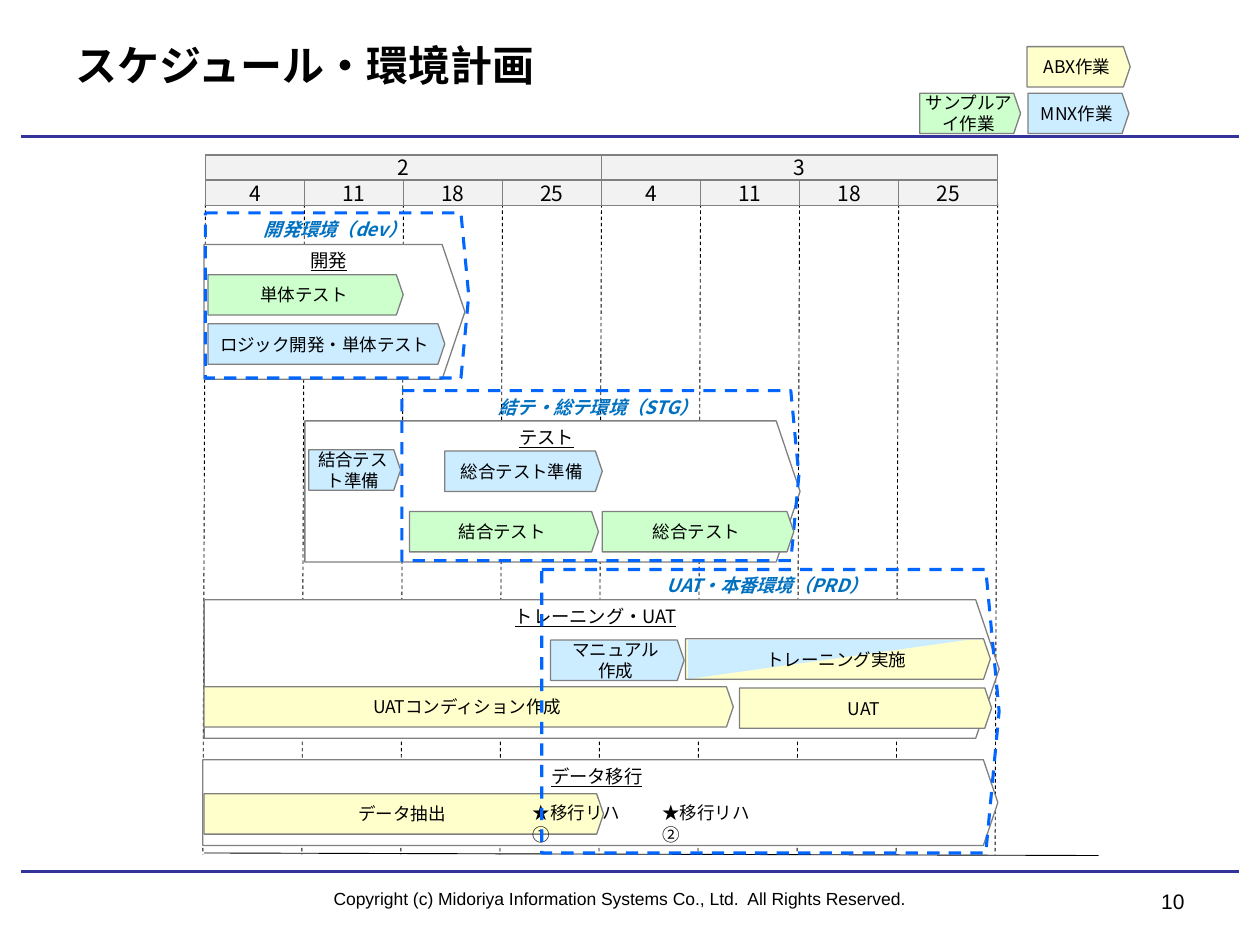
from dataclasses import dataclass
from typing import Optional

from lxml.etree import SubElement
from pptx import Presentation
from pptx.dml.color import RGBColor
from pptx.enum.dml import MSO_LINE
from pptx.enum.shapes import MSO_CONNECTOR, MSO_SHAPE
from pptx.enum.text import MSO_ANCHOR, PP_ALIGN
from pptx.oxml.ns import qn
from pptx.util import Inches, Pt

BLACK = RGBColor(0x00, 0x00, 0x00)
WHITE = RGBColor(0xFF, 0xFF, 0xFF)
GRAY = RGBColor(0x80, 0x80, 0x80)
HEADER_GRAY = RGBColor(0xF2, 0xF2, 0xF2)
NAVY = RGBColor(0x33, 0x33, 0x99)
YELLOW = RGBColor(0xFF, 0xFF, 0xCC)
SKY = RGBColor(0xCC, 0xEC, 0xFF)
GREEN = RGBColor(0xCC, 0xFF, 0xCC)
ENV_LINE = RGBColor(0x00, 0x66, 0xFF)
ENV_TEXT = RGBColor(0x00, 0x70, 0xC0)

GOTHIC = "Noto Sans CJK JP"
GRID_LEFT, WEEK, MONTH_TOP, ROW_H = 1.63, 0.786, 1.23, 0.2
TASK_H = 0.32


@dataclass(frozen=True)
class Style:
    fill: Optional[RGBColor] = None
    line: Optional[RGBColor] = GRAY
    line_pt: float = 0.75
    dashed: bool = False
    size: float = 10
    color: RGBColor = BLACK
    bold: bool = False
    italic: bool = False
    underline: bool = False
    anchor: MSO_ANCHOR = MSO_ANCHOR.MIDDLE
    point: float = 0.169
    wrap: bool = True


@dataclass(frozen=True)
class Bar:
    text: str
    left: float
    top: float
    width: float
    style: Style
    height: float = TASK_H


HEADER = Style(HEADER_GRAY, size=12, wrap=False)
YELLOW_TASK, SKY_TASK, GREEN_TASK = Style(YELLOW), Style(SKY), Style(GREEN)
OUTLINE = Style()
PANEL = Style(WHITE, size=10.5, underline=True, anchor=MSO_ANCHOR.TOP)
ENV = Style(line=ENV_LINE, line_pt=1.75, dashed=True, size=10.5, color=ENV_TEXT,
            bold=True, italic=True, anchor=MSO_ANCHOR.TOP, point=0.047)

LEGEND = [
    Bar("ABX作業", 8.15, 0.37, 0.82, YELLOW_TASK),
    Bar("MNX作業", 8.16, 0.74, 0.8, SKY_TASK),
    Bar("サンプルアイ作業", 7.3, 0.74, 0.8, GREEN_TASK),
]
PHASES = [
    Bar("データ移行", 1.61, 6.03, 6.31, PANEL, 0.68),
    Bar("トレーニング・UAT", 1.62, 4.76, 6.31, PANEL, 1.1),
    Bar("テスト", 2.42, 3.34, 3.93, PANEL, 1.12),
    Bar("開発", 1.62, 1.94, 2.07, PANEL, 1.07),
]
TEST_ENVS = [
    Bar("開発環境（dev）", 1.63, 1.69, 2.09, ENV, 1.31),
    Bar("結テ・総テ環境（STG）", 3.19, 3.1, 3.15, ENV, 1.35),
]
TASKS = [
    Bar("データ抽出", 1.62, 6.3, 3.17, YELLOW_TASK),
    Bar("マニュアル\n作成", 4.37, 5.08, 1.06, SKY_TASK),
    Bar("単体テスト", 1.65, 2.18, 1.55, GREEN_TASK),
    Bar("ロジック開発・単体テスト", 1.65, 2.57, 1.88, SKY_TASK),
    Bar("結合テスト準備", 2.45, 3.57, 0.73, SKY_TASK),
    Bar("結合テスト", 3.25, 4.06, 1.5, GREEN_TASK),
    Bar("総合テスト", 4.78, 4.06, 1.52, GREEN_TASK),
    Bar("総合テスト準備", 3.53, 3.58, 1.25, SKY_TASK),
    Bar("UAT", 5.87, 5.46, 2, YELLOW_TASK),
    Bar("UATコンディション作成", 1.62, 5.45, 4.2, YELLOW_TASK),
]
PRODUCTION_ENV = Bar("UAT・本番環境（PRD）", 4.3, 4.52, 3.63, ENV, 2.25)


def write(tf, text: str, font: str, style: Style, align: PP_ALIGN) -> None:
    for i, line in enumerate(text.split("\n")):
        p = tf.add_paragraph() if i else tf.paragraphs[0]
        p.alignment = align
        r = p.add_run()
        r.text = line
        r.font.name = font
        r.font.size = Pt(style.size)
        r.font.color.rgb = style.color
        r.font.bold = style.bold
        r.font.italic = style.italic
        r.font.underline = style.underline
        SubElement(r.font._element, qn("a:ea")).set("typeface", font)


def add_bar(shapes, bar: Bar, kind: MSO_SHAPE = MSO_SHAPE.PENTAGON):
    style = bar.style
    sp = shapes.add_shape(kind, Inches(bar.left), Inches(bar.top),
                          Inches(bar.width), Inches(bar.height))
    sp.shadow.inherit = False
    if kind == MSO_SHAPE.PENTAGON:
        sp.adjustments[0] = style.point
    if style.fill is None:
        sp.fill.background()
    else:
        sp.fill.solid()
        sp.fill.fore_color.rgb = style.fill
    if style.line is None:
        sp.line.fill.background()
    else:
        sp.line.color.rgb = style.line
        sp.line.width = Pt(style.line_pt)
    if style.dashed:
        sp.line.dash_style = MSO_LINE.DASH
    if bar.text:
        tf = sp.text_frame
        tf.margin_left = tf.margin_right = tf.margin_top = tf.margin_bottom = Inches(0.04)
        tf.word_wrap = style.wrap
        tf.vertical_anchor = style.anchor
        write(tf, bar.text, GOTHIC, style, PP_ALIGN.CENTER)
    return sp


def add_line(shapes, x1: float, y1: float, x2: float, y2: float,
             color: RGBColor = BLACK, width: float = 0.5, dashed: bool = False) -> None:
    line = shapes.add_connector(MSO_CONNECTOR.STRAIGHT, Inches(x1), Inches(y1),
                                Inches(x2), Inches(y2))
    line.line.color.rgb = color
    line.line.width = Pt(width)
    if dashed:
        line.line.dash_style = MSO_LINE.DASH
    SubElement(line._element.spPr, qn("a:effectLst"))


def add_text(shapes, text: str, left: float, top: float, width: float, height: float,
             style: Style, align: PP_ALIGN = PP_ALIGN.LEFT) -> None:
    tf = shapes.add_textbox(Inches(left), Inches(top), Inches(width), Inches(height)).text_frame
    tf.word_wrap = True
    tf.vertical_anchor = style.anchor
    write(tf, text, "Arial", style, align)


def add_calendar(shapes) -> None:
    for i in range(9):
        x = GRID_LEFT + i * WEEK
        add_line(shapes, x, 1.62, x - 0.02, 6.78, dashed=True)
    for i, month in enumerate(("2", "3")):
        add_bar(shapes, Bar(month, GRID_LEFT + i * 4 * WEEK, MONTH_TOP, 4 * WEEK, HEADER, ROW_H),
                MSO_SHAPE.RECTANGLE)
    for i, day in enumerate(("4", "11", "18", "25") * 2):
        add_bar(shapes, Bar(day, GRID_LEFT + i * WEEK, MONTH_TOP + ROW_H, WEEK, HEADER, ROW_H),
                MSO_SHAPE.RECTANGLE)
    add_line(shapes, 8.72, 6.79, 1.62, 6.77)


def add_shared_training(shapes) -> None:
    """Bar split diagonally between two teams' colours."""
    group = shapes.add_group_shape().shapes
    add_bar(group, Bar("", 5.44, 5.08, 2.42, Style(YELLOW, line=None)))
    half = add_bar(group, Bar("", 5.46, 5.08, 2.21, Style(SKY, line=None), 0.31),
                   MSO_SHAPE.RIGHT_TRIANGLE)
    half._element.spPr.xfrm.set("flipV", "1")
    add_bar(group, Bar("トレーニング実施", 5.44, 5.07, 2.42, OUTLINE))


def main() -> None:
    prs = Presentation()
    prs.slide_width, prs.slide_height = Inches(10), Inches(7.5)
    shapes = prs.slides.add_slide(prs.slide_layouts[6]).shapes

    for y in (1.08, 6.92):
        add_line(shapes, 0.17, y, 9.83, y, NAVY, 1.75)
    top = MSO_ANCHOR.TOP
    add_text(shapes, "スケジュール・環境計画", 0.5, 0.25, 8.42, 0.53, Style(size=24, bold=True))
    add_text(shapes, "Copyright (c) Midoriya Information Systems Co., Ltd.  All Rights Reserved.",
             1.83, 7, 6.17, 0.17, Style(anchor=top), PP_ALIGN.CENTER)
    add_text(shapes, "10", 8.17, 7, 1.33, 0.35, Style(size=12, anchor=top), PP_ALIGN.RIGHT)

    add_calendar(shapes)
    for bar in LEGEND + PHASES + TEST_ENVS + TASKS:
        add_bar(shapes, bar)
    add_shared_training(shapes)
    for text, left in (("★移行リハ①", 4.13), ("★移行リハ②", 5.16)):
        add_text(shapes, text, left, 6.32, 1.02, 0.27, Style(anchor=top))
    add_bar(shapes, PRODUCTION_ENV)
    prs.save("out.pptx")


if __name__ == "__main__":
    main()
